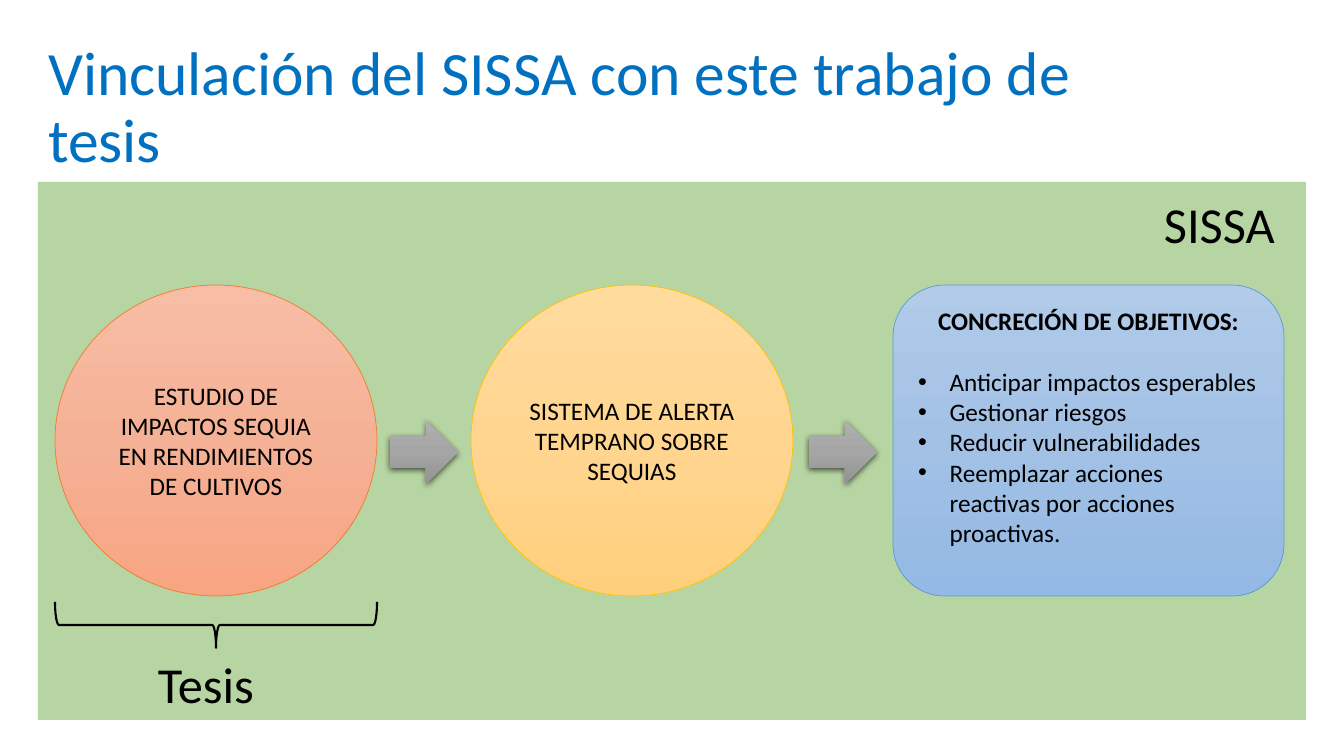
"""Build the slide that links the SISSA programme with the thesis."""
import copy
import pptx
import pptx.util
import pptx.dml.color
import pptx.enum.shapes
import pptx.enum.text
import pptx.oxml
import pptx.oxml.ns

SCALE = 914400 / 100.8
THEME = {
    "font": "Calibri", "title": 44, "label": 36, "body": 18,
    "blue": "0070C0", "black": "000000", "green": "70AD47",
    "coral": ("F7BDA5", "F5B196", "F8A582"), "coral_line": "ED7D31",
    "gold": ("FFDB9E", "FFD590", "FFD07C"), "gold_line": "FFC000",
    "sky": ("B1CBE9", "A3C1E5", "93B9E4"), "sky_line": "5B9BD5",
    "gray": ("AFAFAF", "A5A5A5", "939393"),
}
KIND = pptx.enum.shapes.MSO_SHAPE
ALIGN = pptx.enum.text.PP_ALIGN
ANCHOR = pptx.enum.text.MSO_ANCHOR
Pt = pptx.util.Pt
rgb = pptx.dml.color.RGBColor.from_string
qn = pptx.oxml.ns.qn
NS = pptx.oxml.ns.nsdecls("a")


def draw(kind, box, fill=None, line=None, width=0.5):
    """Add a preset shape with a solid, three-stop or empty fill."""
    shape = slide.shapes.add_shape(kind, *[round(n * SCALE) for n in box])
    shape.shadow.inherit = False
    if fill is None:
        shape.fill.background()
    elif isinstance(fill, str):
        shape.fill.solid()
        shape.fill.fore_color.rgb = rgb(fill)
    else:
        shape.fill.gradient()
        shape.fill.gradient_angle = 270
        stops = shape._element.spPr.find(".//" + qn("a:gsLst"))
        stops.append(copy.deepcopy(stops[0]))
        for i, stop in enumerate(shape.fill.gradient_stops):
            stop.position = i / 2
            stop.color.rgb = rgb(fill[i])
    if line:
        shape.line.color.rgb = rgb(line)
        shape.line.width = Pt(width)
    else:
        shape.line.fill.background()
    return shape


def write(para, text, size, color="black", bold=False, align=ALIGN.LEFT):
    """Add one styled run to a paragraph."""
    para.alignment = align
    run = para.add_run()
    run.text = text
    run.font.name = THEME["font"]
    run.font.size = Pt(THEME[size])
    run.font.bold = bold
    run.font.color.rgb = rgb(THEME[color])


deck = pptx.Presentation()
deck.slide_width = round(1344 * SCALE)
deck.slide_height = round(756 * SCALE)
slide = deck.slides.add_slide(deck.slide_layouts[5])

title = slide.shapes.title
title.left, title.top, title.width, title.height = [
    round(n * SCALE) for n in (38, 36, 1159, 146)]
frame = title.text_frame
frame.auto_size = pptx.enum.text.MSO_AUTO_SIZE.NONE
frame.vertical_anchor = ANCHOR.MIDDLE
frame.paragraphs[0].line_spacing = 0.9
write(frame.paragraphs[0], "Vinculación del SISSA con este trabajo de tesis", "title", "blue")

panel = draw(KIND.RECTANGLE, (38, 182, 1268, 538), THEME["green"])
tint = panel._element.spPr.find(".//" + qn("a:srgbClr"))
tint.append(pptx.oxml.parse_xml(f'<a:alpha {NS} val="50000"/>'))

for left, hue, text in (
    (55, "coral", "ESTUDIO DE IMPACTOS SEQUIA EN RENDIMIENTOS DE CULTIVOS"),
    (471, "gold", "SISTEMA DE ALERTA TEMPRANO SOBRE SEQUIAS"),
):
    disc = draw(KIND.FLOWCHART_CONNECTOR, (left, 285, 322, 311), THEME[hue], THEME[hue + "_line"])
    disc.text_frame.vertical_anchor = ANCHOR.MIDDLE
    write(disc.text_frame.paragraphs[0], text, "body", align=ALIGN.CENTER)

goals = draw(KIND.ROUNDED_RECTANGLE, (893, 285, 391, 311), THEME["sky"], THEME["sky_line"])
frame = goals.text_frame
frame.vertical_anchor = ANCHOR.TOP
head = frame.paragraphs[0]
head.space_after = Pt(22)
write(head, "CONCRECIÓN DE OBJETIVOS:", "body", bold=True, align=ALIGN.CENTER)
for text in (
    "Anticipar impactos esperables",
    "Gestionar riesgos",
    "Reducir vulnerabilidades",
    "Reemplazar acciones reactivas por acciones proactivas.",
):
    item = frame.add_paragraph()
    write(item, text, "body")
    props = item._p.get_or_add_pPr()
    props.set("marL", "285750")
    props.set("indent", "-285750")
    props.append(pptx.oxml.parse_xml(f'<a:buFont {NS} typeface="Arial"/>'))
    props.append(pptx.oxml.parse_xml(f'<a:buChar {NS} char="•"/>'))

for left in (390, 809):
    arrow = draw(KIND.RIGHT_ARROW, (left, 420, 68, 64), THEME["gray"])
    glow = arrow._element.spPr.find(qn("a:effectLst"))
    glow.append(pptx.oxml.parse_xml(
        f'<a:outerShdw {NS} blurRad="57150" dist="19050" dir="5400000" algn="ctr" rotWithShape="0">'
        f'<a:srgbClr val="{THEME["black"]}"><a:alpha val="63000"/></a:srgbClr></a:outerShdw>'))

brace = draw(KIND.RIGHT_BRACE, (193, 464, 46, 322), line=THEME["black"], width=1.5)
brace.rotation = 90

for left, top, text in ((1154, 188, "SISSA"), (148, 648, "Tesis")):
    label = slide.shapes.add_textbox(*[round(n * SCALE) for n in (left, top, 135, 71)])
    label.text_frame.word_wrap = True
    write(label.text_frame.paragraphs[0], text, "label")

deck.save("out.pptx")
